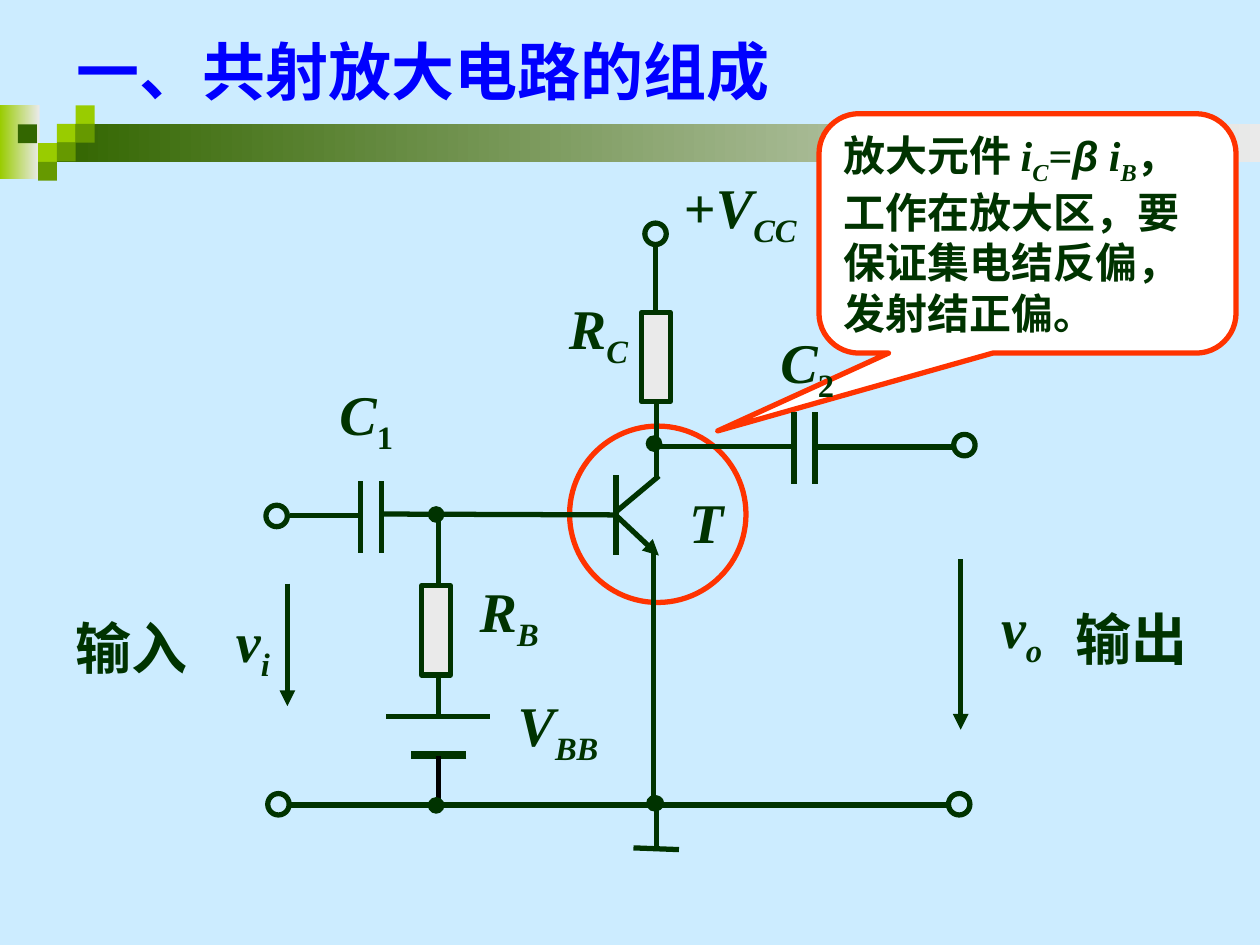
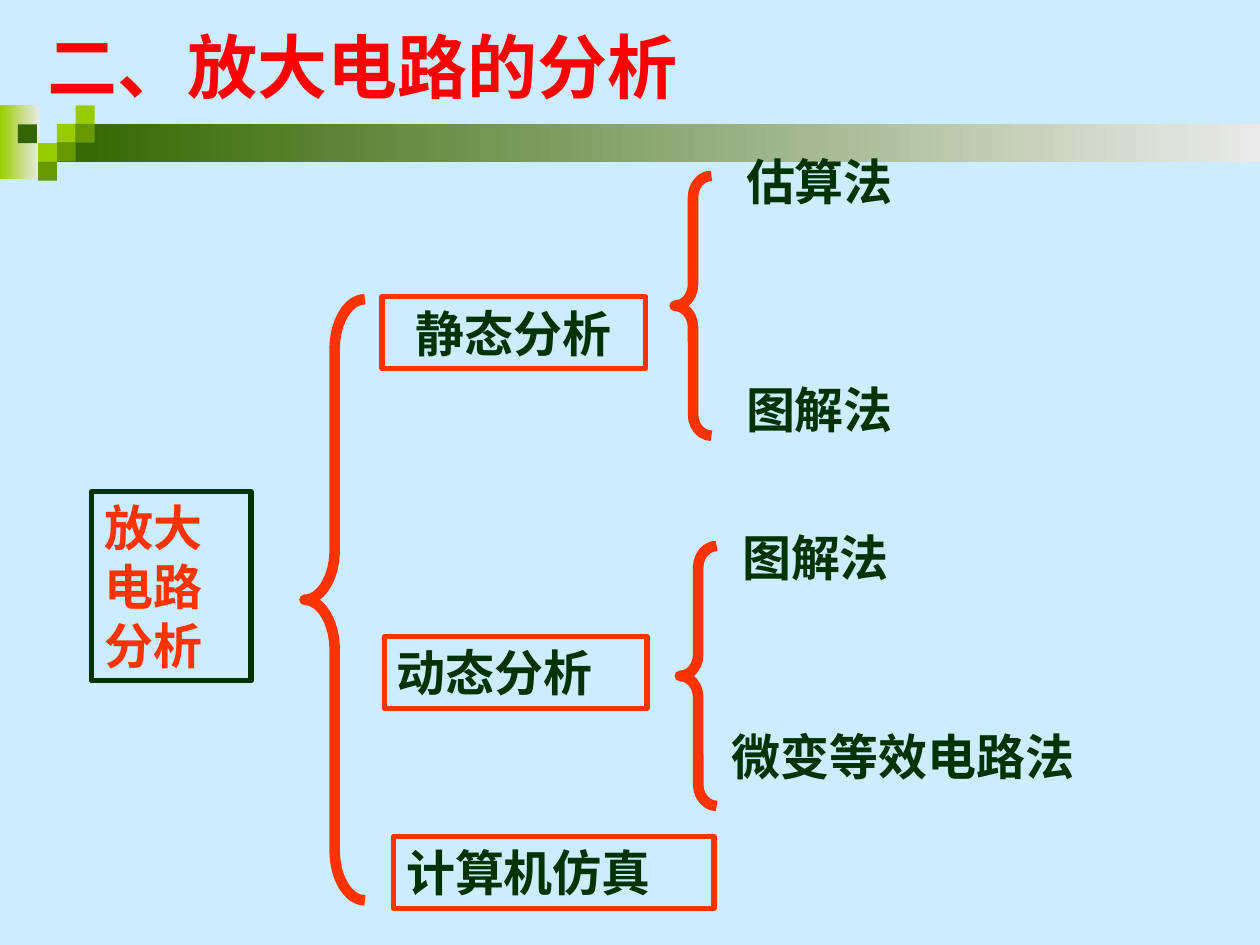
from pptx import Presentation
from pptx.dml.color import RGBColor
from pptx.enum.shapes import MSO_CONNECTOR, MSO_SHAPE
from pptx.enum.text import MSO_ANCHOR, MSO_AUTO_SIZE, PP_ALIGN
from pptx.oxml.ns import qn
from pptx.util import Pt
from lxml.etree import SubElement

HUES = {
    "sky": "CCECFF", "ink": "003300", "red": "FF3300", "blue": "0000FF",
    "title": "FF0000", "lime": "99CC00", "moss": "669900", "leaf": "336600",
    "mist": "EAEAEA", "white": "FFFFFF", "black": "000000",
}
FACE = "Times New Roman"
LEFT, MID = PP_ALIGN.LEFT, PP_ALIGN.CENTER


def hue(name):
    return RGBColor.from_string(HUES[name])


def write(shape, runs, size, ink="ink", align=LEFT, wrap=True):
    """Runs are (text, flags); flags: i italic, s subscript, a Arial."""
    frame = shape.text_frame
    frame.word_wrap = wrap
    frame.auto_size = MSO_AUTO_SIZE.NONE
    frame.vertical_anchor = MSO_ANCHOR.MIDDLE
    para = frame.paragraphs[0]
    para.alignment = align
    para.space_before = Pt(0)
    font = para.font
    font.name, font.size, font.bold = FACE, Pt(size), True
    font.color.rgb = hue(ink)
    for text, flags in runs:
        run = para.add_run()
        run.text = text
        if "i" in flags:
            run.font.italic = True
        if "a" in flags:
            run.font.name = "Arial"
        if "s" in flags:
            run.font._element.set("baseline", "-25000")


def form(slide, kind, box, fill=None, edge=None, width=3):
    shape = slide.shapes.add_shape(kind, *map(Pt, box))
    shape.shadow.inherit = False
    if fill:
        shape.fill.solid()
        shape.fill.fore_color.rgb = hue(fill)
    else:
        shape.fill.background()
    if edge:
        shape.line.color.rgb = hue(edge)
        shape.line.width = Pt(width)
    else:
        shape.line.fill.background()
    return shape


def fade(slide, box, start):
    fill = form(slide, MSO_SHAPE.RECTANGLE, box).fill
    fill.gradient()
    fill.gradient_angle = 0
    for stop, name in zip(fill.gradient_stops, (start, "mist")):
        stop.color.rgb = hue(name)


def wire(slide, ends, color="ink", width=3, arrow=False):
    line = slide.shapes.add_connector(MSO_CONNECTOR.STRAIGHT, *map(Pt, ends))
    line.line.color.rgb = hue(color)
    line.line.width = Pt(width)
    props = line._element.spPr
    if arrow:
        SubElement(props.get_or_add_ln(), qn("a:tailEnd"), type="triangle")
    SubElement(props, qn("a:effectLst"))


def disc(slide, left, top, size, **style):
    return form(slide, MSO_SHAPE.OVAL, (left, top, size, size), **style)


def label(slide, box, runs, size=32, align=MID, wrap=False):
    shape = slide.shapes.add_textbox(*map(Pt, box))
    write(shape, runs, size, align=align, wrap=wrap)


def node(slide, box, text, edge="red", ink="ink", align=LEFT):
    shape = form(slide, MSO_SHAPE.RECTANGLE, box, edge=edge)
    write(shape, [(text, "")], 28, ink, align)


def brace(slide, box, bend):
    shape = form(slide, MSO_SHAPE.LEFT_BRACE, box, edge="red", width=6)
    shape.adjustments[0] = bend


def start(deck, text, box, size, ink, align):
    """Add a slide with the green band, the tiles and its title."""
    slide = deck.slides.add_slide(deck.slide_layouts[5])
    fade(slide, (0, 60.3, 22.5, 42), "lime")
    fade(slide, (32.5, 70.75, 687.5, 21.75), "leaf")
    tiles = [
        (32.5, 70.75, "lime"), (43.25, 60.25, "lime"), (43.25, 70.75, "moss"),
        (21.75, 81.75, "lime"), (10.25, 71, "leaf"), (32.5, 81.5, "moss"),
        (21.75, 92.5, "moss"),
    ]
    for left, top, color in tiles:
        form(slide, MSO_SHAPE.RECTANGLE, (left, top, 10.8, 10.8), color)
    title = slide.shapes.title
    title.left, title.top, title.width, title.height = map(Pt, box)
    write(title, [(text, "")], size, ink, align)
    return slide


def circuit(deck):
    slide = start(deck, "一、共射放大电路的组成", (36.5, 15, 410.5, 50.5),
                  36, "blue", MID)

    # Transistor ring and callout
    disc(slide, 325.5, 243.5, 100.8, edge="red")
    note = form(slide, MSO_SHAPE.ROUNDED_RECTANGULAR_CALLOUT,
                (468, 65, 238.3, 136.8), "white", "red")
    for i, value in enumerate((-0.743, 0.825, 0.167)):
        note.adjustments[i] = value
    write(note, [("放大元件", ""), (" i", "i"), ("C", "is"), ("=", ""),
                 ("β", "ia"), (" i", "i"), ("B", "is"),
                 ("，工作在放大区，要保证集电结反偏，发射结正偏。", "")], 24)

    # Wires, each as x1, y1, x2, y2
    wires = [
        (375, 461, 375, 486), (362, 484.5, 388, 485.5),          # ground
        (250.5, 410.5, 250.5, 293), (374.5, 178, 374.5, 139.5),  # RB, RC
        (375, 201, 375, 273.5), (280, 409.5, 220.5, 409.5),      # battery
        (217.5, 293.75, 353.5, 294.25), (352, 271.5, 352, 317),  # base
        (352, 292.5, 376.5, 272), (373.5, 316, 373.5, 460),
        (165.5, 460, 543, 460),                                  # rail
        (165.5, 294.5, 205, 294.5), (373.5, 255, 453, 255),
        (465, 255.5, 546, 255.5),
    ]
    for ends in wires:
        wire(slide, ends)
    for left, top in ((206, 275), (453.75, 235.5)):              # C1, C2
        for x in (left, left + 12):
            wire(slide, (x, top, x, top + 41))
    wire(slide, (266.5, 431.25, 234.75, 431.25), width=4.5)
    wire(slide, (250.5, 432, 250.5, 459.5), "black")
    for ends in ((352, 294.5, 376.5, 317.5), (164.25, 333.5, 164.25, 403.5),
                 (549, 319.5, 549, 417)):
        wire(slide, ends, arrow=True)

    # Resistors, terminals and joints
    for left, top in ((366.5, 178.5), (241, 334.75)):
        form(slide, MSO_SHAPE.RECTANGLE, (left, top, 16.5, 51), "mist", "ink")
    for left, top in ((368.5, 127.5), (152, 288.75), (153, 453.5),
                      (545, 248.25), (542, 453.5)):
        disc(slide, left, top, 12.25, edge="ink")
    disc(slide, 372, 456, 6, fill="ink", edge="ink")
    for left, top in ((369.5, 249.25), (245, 289.75), (245, 456),
                      (369.75, 454.75)):
        disc(slide, left, top, 8.5, fill="ink", edge="ink", width=1)

    # Labels with a subscript: left, top, width, sign, index, index flags
    signs = [
        (127.5, 342.75, 34, "v", "i", "is"), (565, 335, 37.5, "v", "o", "is"),
        (267, 325.5, 48, "R", "B", "is"), (318, 164, 48, "R", "C", "is"),
        (187, 213, 44.5, "C", "1", "s"), (439, 183.5, 44.5, "C", "2", "s"),
    ]
    for left, top, width, sign, index, flags in signs:
        label(slide, (left, top, width, 51), [(sign, "i"), (index, flags)])
    label(slide, (288.75, 391, 60.5, 51), [("V", "i"), ("BB", "is")],
          align=LEFT)
    label(slide, (383.75, 95, 78.5, 51),
          [("+", ""), ("V", "i"), ("CC", "is")], align=LEFT)
    label(slide, (386.5, 274.5, 34, 46), [("T", "i")])
    label(slide, (36, 346.5, 78.5, 46), [("输入", "")])
    label(slide, (607.5, 341.5, 78.5, 46), [("输出", "")])


def methods(deck):
    slide = start(deck, "二、放大电路的分析", (20, 9.5, 561, 55.5),
                  40, "title", LEFT)

    # Root and its branches
    node(slide, (52.5, 281, 91, 108), "放大电路分析", "ink", "red")
    node(slide, (218.25, 169.5, 150.5, 41), "静态分析", align=MID)
    node(slide, (219.75, 363.75, 150, 41), "动态分析")
    node(slide, (225, 478, 183, 41), "计算机仿真")

    # Braces
    brace(slide, (174, 171, 34.5, 343.5), 0.83)
    brace(slide, (385.5, 100.5, 21, 148.5), 0.58)
    brace(slide, (388.5, 312, 21, 148.5), 0.58)

    # Methods
    leaves = [
        (399.5, 83, 137.5, "估算法", MID), (399.5, 213, 137.5, "图解法", MID),
        (417, 298, 174, "图解法", LEFT), (411, 411.5, 237, "微变等效电路法", LEFT),
    ]
    for left, top, width, text, align in leaves:
        label(slide, (left, top, width, 41), [(text, "")], 28, align, True)


def main():
    deck = Presentation()
    deck.slide_width, deck.slide_height = Pt(720), Pt(540)
    back = deck.slide_master.background.fill
    back.solid()
    back.fore_color.rgb = hue("sky")
    circuit(deck)
    methods(deck)
    deck.save("out.pptx")


if __name__ == "__main__":
    main()
